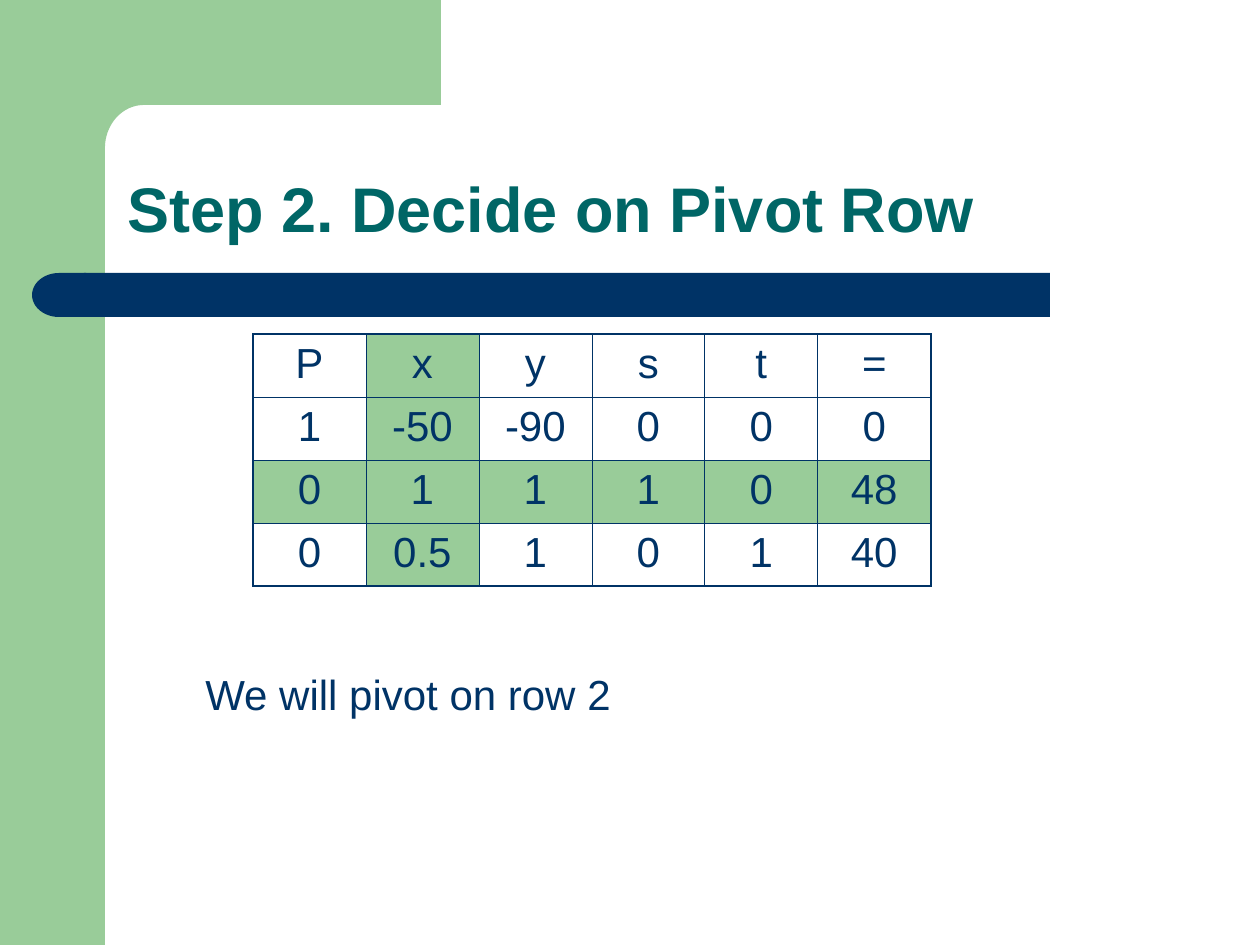
"""Build the slide on choosing the pivot row of a simplex tableau."""
from dataclasses import dataclass
from math import cos, pi, sin

from lxml import etree
from pptx import Presentation
from pptx.dml.color import RGBColor
from pptx.enum.shapes import MSO_SHAPE
from pptx.enum.text import MSO_ANCHOR, MSO_AUTO_SIZE, PP_ALIGN
from pptx.oxml.ns import qn
from pptx.util import Emu, Pt

RECT, DELAY = MSO_SHAPE.RECTANGLE, MSO_SHAPE.FLOWCHART_DELAY
BOTTOM = MSO_ANCHOR.BOTTOM
LEFT, CENTER = PP_ALIGN.LEFT, PP_ALIGN.CENTER
FIXED, GROW = MSO_AUTO_SIZE.NONE, MSO_AUTO_SIZE.SHAPE_TO_FIT_TEXT

SCALE = 914400 / 126
GREEN, NAVY, TEAL = "99CC99", "003366", "006666"
THIN, THICK = 0.45, 1.08
CELL_W, CELL_H = 113, 63
PIVOT_COL, PIVOT_ROW = 1, 2
ROWS = [
    ["P", "x", "y", "s", "t", "="],
    ["1", "-50", "-90", "0", "0", "0"],
    ["0", "1", "1", "1", "0", "48"],
    ["0", "0.5", "1", "0", "1", "40"],
]


@dataclass
class Block:
    kind: int
    left: int
    top: int
    width: int
    height: int
    color: str
    turn: int = 0


BLOCKS = [
    Block(RECT, 0, 0, 105, 945, GREEN),
    Block(RECT, 84, 273, 966, 44, NAVY),
    Block(DELAY, 32, 273, 54, 44, NAVY, 180),
]


def px(size: int) -> Emu:
    return Emu(round(size * SCALE))


def rgb(code: str) -> RGBColor:
    return RGBColor.from_string(code)


def paint(shape, color: str) -> None:
    shape.shadow.inherit = False
    shape.fill.solid()
    shape.fill.fore_color.rgb = rgb(color)
    shape.line.fill.background()


def draw_block(slide, block: Block) -> None:
    shape = slide.shapes.add_shape(
        block.kind, px(block.left), px(block.top), px(block.width), px(block.height))
    shape.rotation = block.turn
    paint(shape, block.color)


def draw_corner(slide) -> None:
    arc = [(144 - 39 * cos(a), 148 - 43 * sin(a))
           for a in (pi / 2 * (1 - step / 16) for step in range(17))]
    points = [(441, 105), *arc, (105, 161), (63, 161), (63, 0)]
    path = slide.shapes.build_freeform(px(441), 0)
    path.add_line_segments([(px(x), px(y)) for x, y in points], close=True)
    paint(path.convert_to_shape(), GREEN)


def write(frame, text: str, size: int, color: str, align=LEFT, bold: bool = False) -> None:
    frame.word_wrap = True
    frame.text = text
    para = frame.paragraphs[0]
    para.alignment = align
    font = para.runs[0].font
    font.name, font.size, font.bold = "Arial", Pt(size), bold
    font.color.rgb = rgb(color)


def add_edge(cell, side: str, width: float) -> None:
    props = cell._tc.get_or_add_tcPr()
    line = etree.SubElement(props, qn(f"a:ln{side}"), w=str(Pt(width)))
    fill = etree.SubElement(line, qn("a:solidFill"))
    etree.SubElement(fill, qn("a:srgbClr"), val=NAVY)


def draw_table(slide) -> None:
    rows, cols = len(ROWS), len(ROWS[0])
    table = slide.shapes.add_table(
        rows, cols, px(253), px(334), px(cols * CELL_W), px(rows * CELL_H)).table
    table.first_row = table.horz_banding = False
    for col in table.columns:
        col.width = px(CELL_W)
    for r, values in enumerate(ROWS):
        table.rows[r].height = px(CELL_H)
        for c, value in enumerate(values):
            cell = table.cell(r, c)
            write(cell.text_frame, value, 24, NAVY, CENTER)
            outer = {"L": c == 0, "R": c == cols - 1, "T": r == 0, "B": r == rows - 1}
            for side, edge in outer.items():
                add_edge(cell, side, THICK if edge else THIN)
            if r == PIVOT_ROW or c == PIVOT_COL:
                cell.fill.solid()
                cell.fill.fore_color.rgb = rgb(GREEN)
            else:
                cell.fill.background()


def draw_title(slide) -> None:
    title = slide.shapes.title
    title.left, title.top = px(115), px(115)
    title.width, title.height = px(1072), px(137)
    frame = title.text_frame
    write(frame, "Step 2. Decide on Pivot Row", 36, TEAL, bold=True)
    frame.auto_size = FIXED
    frame.vertical_anchor = BOTTOM
    frame.paragraphs[0].line_spacing = 0.9


def draw_note(slide) -> None:
    frame = slide.shapes.add_textbox(px(193), px(662), px(932), px(63)).text_frame
    write(frame, "We will pivot on row 2", 24, NAVY)
    frame.auto_size = GROW


def main() -> None:
    deck = Presentation()
    deck.slide_width, deck.slide_height = px(1260), px(945)
    slide = deck.slides.add_slide(deck.slide_layouts[5])
    for block in BLOCKS:
        draw_block(slide, block)
    draw_corner(slide)
    draw_title(slide)
    draw_table(slide)
    draw_note(slide)
    deck.save("out.pptx")


if __name__ == "__main__":
    main()
